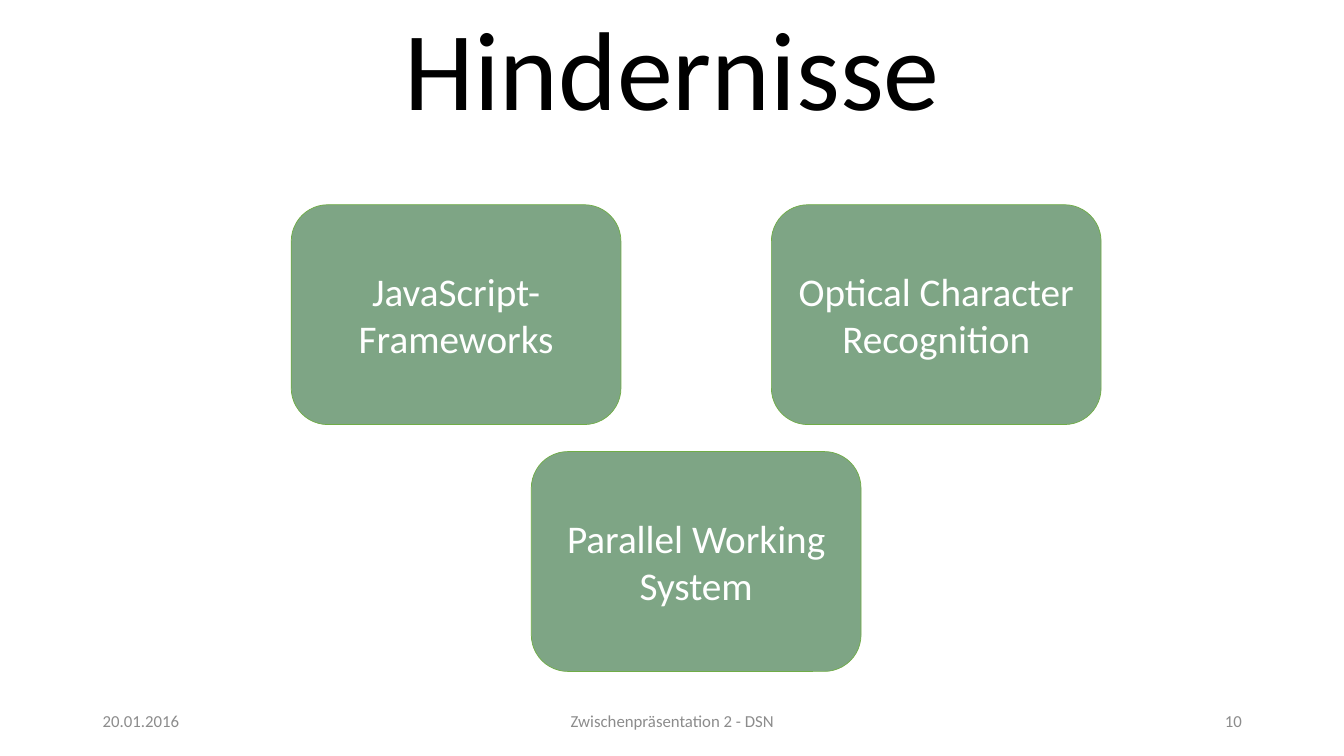
from pptx import Presentation
from pptx.dml.color import RGBColor
from pptx.enum.shapes import MSO_SHAPE
from pptx.enum.text import MSO_ANCHOR, PP_ALIGN
from pptx.util import Cm, Pt

TITLE = "Hindernisse"
OBSTACLES = [
    ("JavaScript-Frameworks", 0, 0),
    ("Optical Character Recognition", 2, 0),
    ("Parallel Working System", 1, 1),
]
FOOTER = [
    ("20.01.2016", 2.34, 7.62, PP_ALIGN.LEFT),
    ("Zwischenpräsentation 2 - DSN", 11.23, 11.43, PP_ALIGN.CENTER),
    ("10", 23.93, 7.62, PP_ALIGN.RIGHT),
]
BOX_W, BOX_H = 8.31, 5.54
GRID_LEFT, GRID_TOP = 7.34, 5.16
HALF_STEP, ROW_STEP = 6.05, 6.22


def rgb(value):
    return RGBColor.from_string(value)


def write(sp, text, size, color, align):
    tf = sp.text_frame
    tf.text = text
    tf.word_wrap = True
    tf.vertical_anchor = MSO_ANCHOR.MIDDLE
    p = tf.paragraphs[0]
    p.alignment = align
    font = p.runs[0].font
    font.name = "Calibri"
    font.size = Pt(size)
    font.color.rgb = rgb(color)
    return p


def add_title(s):
    sp = s.shapes.title
    sp.left, sp.top, sp.width, sp.height = Cm(2.34), Cm(0.51), Cm(29.21), Cm(2.72)
    p = write(sp, TITLE, 80, "000000", PP_ALIGN.CENTER)
    p.line_spacing = 0.9


def add_obstacle(s, text, column, row):
    left = GRID_LEFT + column * HALF_STEP
    top = GRID_TOP + row * ROW_STEP
    sp = s.shapes.add_shape(MSO_SHAPE.ROUNDED_RECTANGLE, Cm(left), Cm(top), Cm(BOX_W), Cm(BOX_H))
    sp.shadow.inherit = False
    sp.fill.solid()
    sp.fill.fore_color.rgb = rgb("7EA585")
    sp.line.color.rgb = rgb("70AD47")
    sp.line.width = Pt(0.5)
    write(sp, text, 28, "FFFFFF", PP_ALIGN.CENTER)


def main():
    prs = Presentation()
    prs.slide_width, prs.slide_height = Cm(33.87), Cm(19.05)
    s = prs.slides.add_slide(prs.slide_layouts[5])
    add_title(s)
    for text, left, width, align in FOOTER:
        sp = s.shapes.add_textbox(Cm(left), Cm(17.65), Cm(width), Cm(1.02))
        write(sp, text, 12, "8C8C8C", align)
    for text, column, row in OBSTACLES:
        add_obstacle(s, text, column, row)
    prs.save("out.pptx")


if __name__ == "__main__":
    main()
